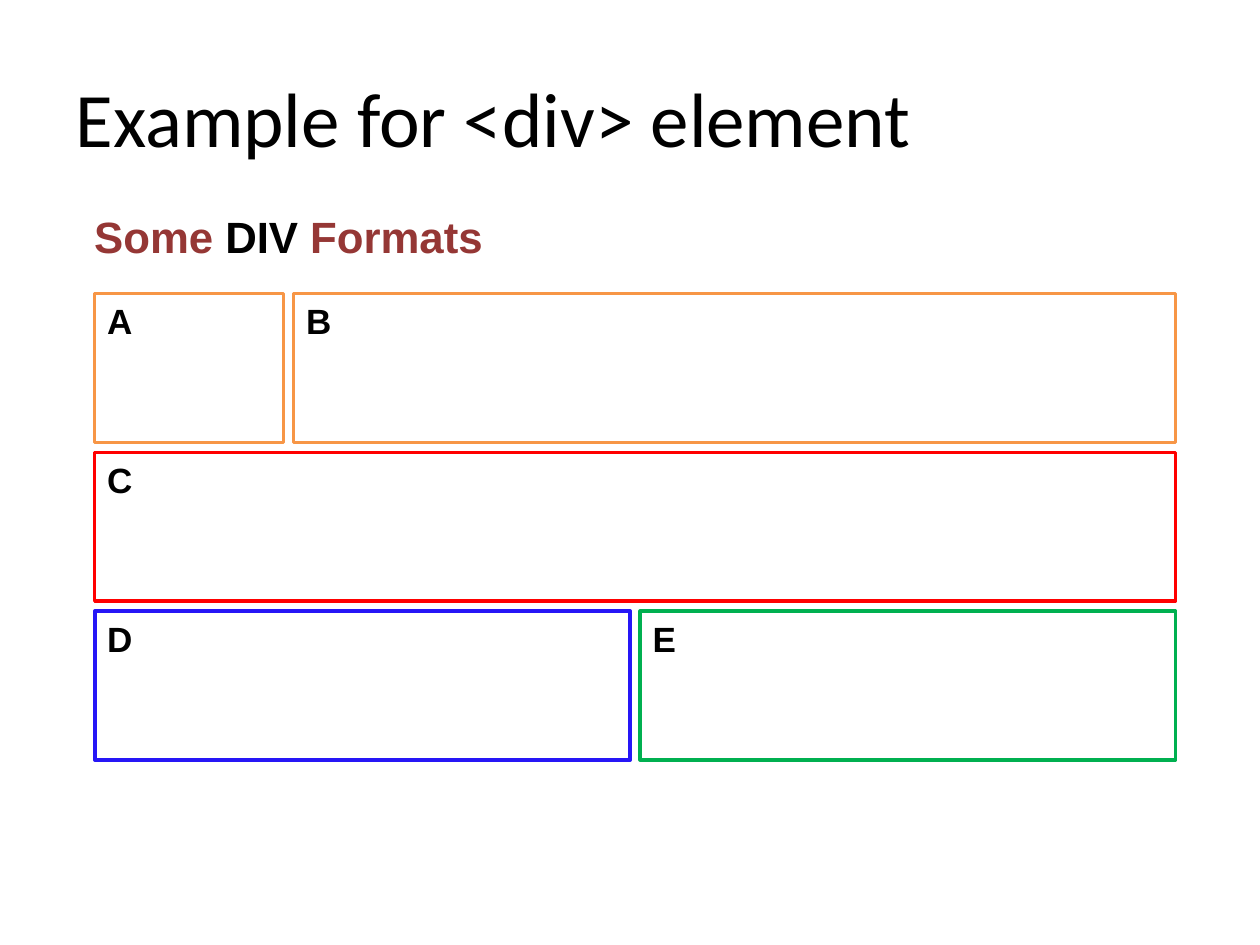
from dataclasses import dataclass

from pptx import Presentation
from pptx.dml.color import RGBColor
from pptx.enum import shapes, text
from pptx.util import Cm, Pt


@dataclass(frozen=True)
class Theme:
    black: str = "000000"
    white: str = "FFFFFF"
    maroon: str = "953735"
    orange: str = "F79646"
    red: str = "FF0000"
    blue: str = "2616F6"
    green: str = "00B050"
    heading_font: str = "Calibri"
    body_font: str = "Arial"
    title_size: float = 44
    subtitle_size: float = 25
    label_size: float = 20
    border: float = 2


@dataclass(frozen=True)
class Div:
    label: str
    share: float
    border: str


THEME = Theme()
LEFT, TOP, WIDTH, HEIGHT, GAP = 1.91, 5.92, 21.79, 3.0, 0.2
HALF = (WIDTH - GAP) / 2
SIDEBAR = 3.81

ROWS = [
    [Div("A", SIDEBAR, THEME.orange), Div("B", WIDTH - GAP - SIDEBAR, THEME.orange)],
    [Div("C", WIDTH, THEME.red)],
    [Div("D", HALF, THEME.blue), Div("E", HALF, THEME.green)],
]
SUBTITLE = [("Some", THEME.maroon), (" DIV ", THEME.black), ("Formats", THEME.maroon)]


def add_run(paragraph, words: str, color: str, name: str, size: float, bold: bool) -> None:
    run = paragraph.add_run()
    run.text = words
    for key, value in {"name": name, "size": Pt(size), "bold": bold}.items():
        setattr(run.font, key, value)
    run.font.color.rgb = RGBColor.from_string(color)


def format_frame(frame, anchor) -> None:
    for key, value in {"word_wrap": True, "vertical_anchor": anchor}.items():
        setattr(frame, key, value)
    frame.paragraphs[0].alignment = text.PP_ALIGN.LEFT


def draw_title(slide) -> None:
    title = slide.shapes.title
    place = {"left": Cm(1.27), "top": Cm(0.76), "width": Cm(22.86), "height": Cm(3.18)}
    for key, value in place.items():
        setattr(title, key, value)
    format_frame(title.text_frame, text.MSO_ANCHOR.MIDDLE)
    add_run(title.text_frame.paragraphs[0], "Example for <div> element",
            THEME.black, THEME.heading_font, THEME.title_size, False)


def draw_subtitle(slide) -> None:
    subtitle = slide.shapes.add_textbox(Cm(1.65), Cm(4.11), Cm(14.6), Cm(1.32))
    frame = subtitle.text_frame
    format_frame(frame, text.MSO_ANCHOR.TOP)
    frame.auto_size = text.MSO_AUTO_SIZE.SHAPE_TO_FIT_TEXT
    for words, color in SUBTITLE:
        add_run(frame.paragraphs[0], words, color,
                THEME.body_font, THEME.subtitle_size, True)


def draw_div(slide, div: Div, left: float, top: float) -> None:
    block = slide.shapes.add_shape(
        shapes.MSO_SHAPE.RECTANGLE, Cm(left), Cm(top), Cm(div.share), Cm(HEIGHT))
    block.shadow.inherit = False
    block.fill.solid()
    block.fill.fore_color.rgb = RGBColor.from_string(THEME.white)
    block.line.color.rgb = RGBColor.from_string(div.border)
    block.line.width = Pt(THEME.border)
    format_frame(block.text_frame, text.MSO_ANCHOR.TOP)
    add_run(block.text_frame.paragraphs[0], div.label, THEME.black,
            THEME.body_font, THEME.label_size, True)


def main() -> None:
    deck = Presentation()
    deck.slide_width, deck.slide_height = Cm(25.4), Cm(19.05)
    slide = deck.slides.add_slide(deck.slide_layouts[5])
    draw_title(slide)
    for index, row in enumerate(ROWS):
        left = LEFT
        for div in row:
            draw_div(slide, div, left, TOP + index * (HEIGHT + GAP))
            left += div.share + GAP
    draw_subtitle(slide)
    deck.save("out.pptx")


if __name__ == "__main__":
    main()
